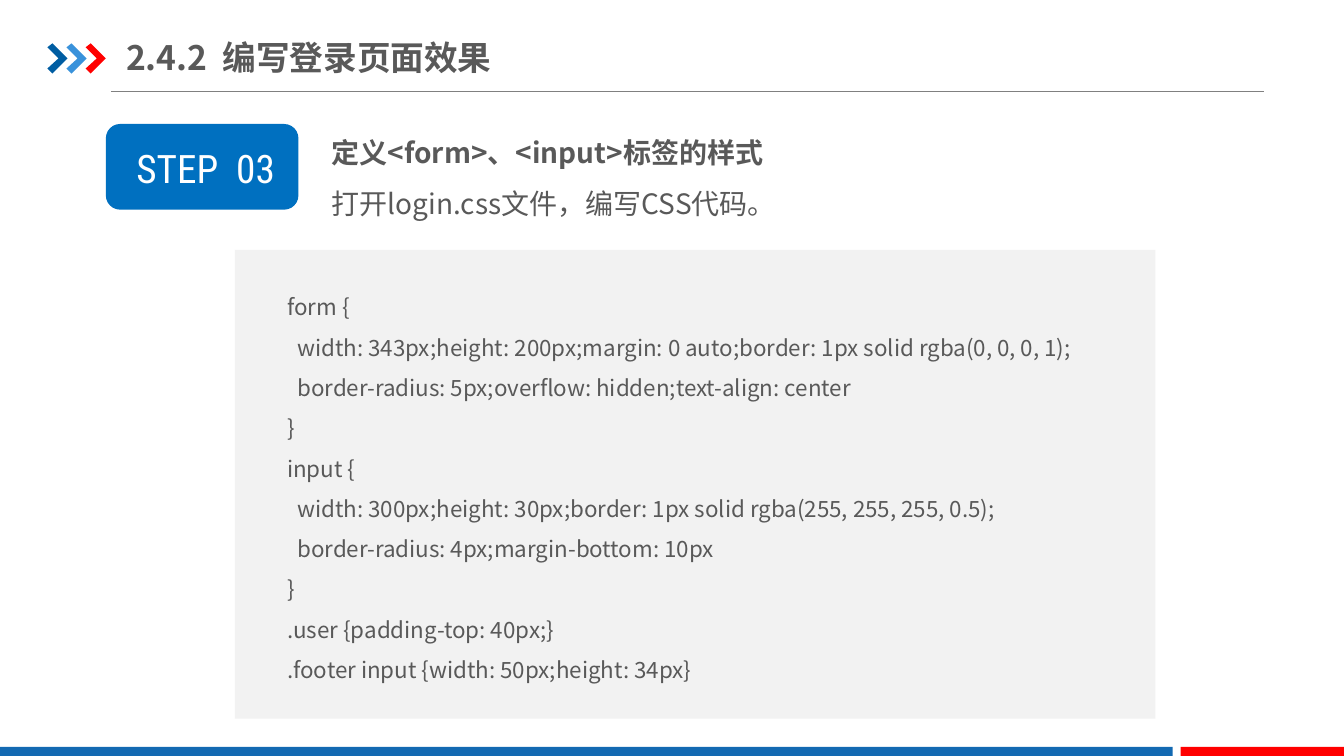
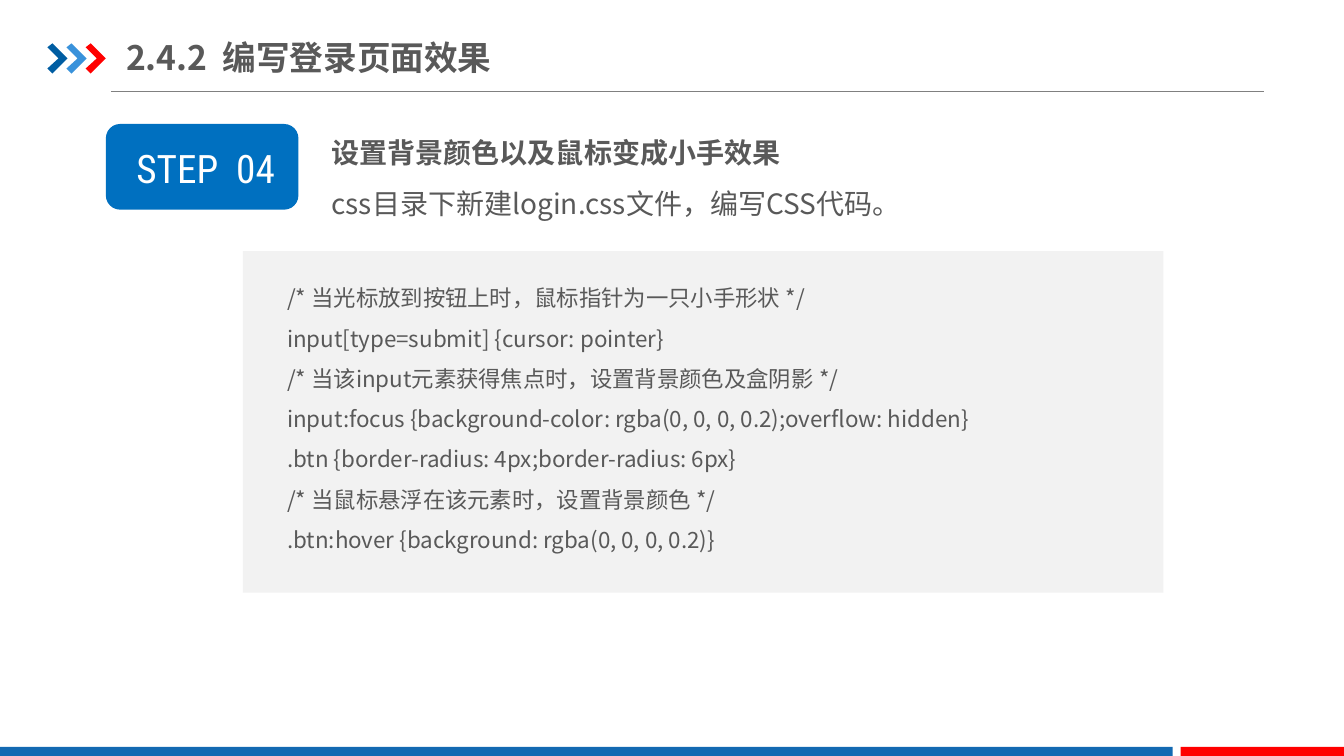
from dataclasses import dataclass

from lxml.etree import SubElement
from pptx import Presentation
from pptx.dml.color import RGBColor
from pptx.enum.shapes import MSO_CONNECTOR, MSO_SHAPE
from pptx.enum.text import MSO_ANCHOR, PP_ALIGN
from pptx.oxml.ns import qn
from pptx.util import Emu, Pt

COLORS = {
    "navy": "005DA2",
    "sky": "3992DB",
    "red": "FF0000",
    "band": "1369B2",
    "badge": "0070C0",
    "panel": "F2F2F2",
    "text": "595959",
    "rule": "808080",
    "white": "FFFFFF",
}
SANS = "Noto Sans CJK SC"
NARROW = "Roboto Condensed"
SCALE = 9144
WIDTH, HEIGHT = 1333, 750
TITLE = "2.4.2  编写登录页面效果"
ARROW = [(0, 4), (5, 0), (20, 15), (5, 30), (0, 25), (11, 15)]


@dataclass(frozen=True)
class Box:
    left: int
    top: int
    width: int
    height: int

    def emu(self) -> list[Emu]:
        return [px(n) for n in (self.left, self.top, self.width, self.height)]


@dataclass(frozen=True)
class Style:
    size: int
    font: str = SANS
    color: str = "text"
    bold: bool = False
    spacing: float = 1.0
    align: PP_ALIGN = PP_ALIGN.LEFT


@dataclass(frozen=True)
class Step:
    label: str
    heading: str
    detail: str
    panel: Box
    area: Box
    code: str


HEAD = Style(24, bold=True)
BADGE = Style(28, font=NARROW, color="white", align=PP_ALIGN.CENTER)
TOPIC = Style(20, bold=True, spacing=1.5)
DETAIL = Style(20, spacing=1.5)
CODE = Style(16, spacing=1.5)

STEPS = [
    Step(
        "STEP  03",
        "定义<form>、<input>标签的样式",
        "打开login.css文件，编写CSS代码。",
        Box(233, 248, 913, 465),
        Box(275, 273, 859, 414),
        """form {
  width: 343px;height: 200px;margin: 0 auto;border: 1px solid rgba(0, 0, 0, 1);
  border-radius: 5px;overflow: hidden;text-align: center
}
input {
  width: 300px;height: 30px;border: 1px solid rgba(255, 255, 255, 0.5);
  border-radius: 4px;margin-bottom: 10px
}
.user {padding-top: 40px;}
.footer input {width: 50px;height: 34px}""",
    ),
    Step(
        "STEP  04",
        "设置背景颜色以及鼠标变成小手效果",
        "css目录下新建login.css文件，编写CSS代码。",
        Box(241, 249, 913, 339),
        Box(275, 264, 859, 293),
        """/* 当光标放到按钮上时，鼠标指针为一只小手形状 */
input[type=submit] {cursor: pointer}
/* 当该input元素获得焦点时，设置背景颜色及盒阴影 */
input:focus {background-color: rgba(0, 0, 0, 0.2);overflow: hidden}
.btn {border-radius: 4px;border-radius: 6px}
/* 当鼠标悬浮在该元素时，设置背景颜色 */
.btn:hover {background: rgba(0, 0, 0, 0.2)}""",
    ),
]


def px(count: int) -> Emu:
    return Emu(count * SCALE)


def rgb(name: str) -> RGBColor:
    return RGBColor.from_string(COLORS[name])


def paint(shape, color: str) -> None:
    shape.shadow.inherit = False
    shape.fill.solid()
    shape.fill.fore_color.rgb = rgb(color)
    shape.line.fill.background()


def block(slide, box: Box, color: str, kind=MSO_SHAPE.RECTANGLE) -> None:
    paint(slide.shapes.add_shape(kind, *box.emu()), color)


def write(slide, box: Box, lines: list[tuple[str, Style]]):
    frame = slide.shapes.add_textbox(*box.emu()).text_frame
    frame.word_wrap = True
    frame.text = "\n".join(text.lstrip() for text, _ in lines)
    for par, (text, style) in zip(frame.paragraphs, lines):
        par.alignment = style.align
        par.line_spacing = style.spacing
        if text.startswith(" "):
            par._p.get_or_add_pPr().set("marL", str(px(10)))
        for run in par.runs:
            font = run.font
            font.size = Pt(style.size)
            font.bold = style.bold
            font.name = style.font
            font.color.rgb = rgb(style.color)
            SubElement(run._r.get_or_add_rPr(), qn("a:ea")).set("typeface", style.font)
    return frame


def frame_page(slide) -> None:
    rule = slide.shapes.add_connector(
        MSO_CONNECTOR.STRAIGHT, px(110), px(91), px(1254), px(91)
    )
    rule.line.color.rgb = rgb("rule")
    rule.line.width = Pt(0.75)
    SubElement(rule._element.spPr, qn("a:effectLst"))
    for index, color in enumerate(("navy", "sky", "red")):
        points = [(47 + 19 * index + x, 43 + y) for x, y in ARROW]
        form = slide.shapes.build_freeform(*points[0], scale=SCALE)
        form.add_line_segments(points[1:], close=True)
        paint(form.convert_to_shape(), color)
    block(slide, Box(0, 741, 1163, 9), "band")
    block(slide, Box(1171, 741, WIDTH - 1171, 9), "red")
    title = write(slide, Box(125, 29, 549, 55), [(TITLE, HEAD)])
    title.vertical_anchor = MSO_ANCHOR.MIDDLE
    title.margin_left = title.margin_right = 0
    title.margin_top = title.margin_bottom = px(7)


def draw(slide, step: Step) -> None:
    frame_page(slide)
    block(slide, Box(105, 123, 191, 85), "badge", MSO_SHAPE.ROUNDED_RECTANGLE)
    write(slide, Box(115, 138, 178, 57), [(step.label, BADGE)])
    write(
        slide,
        Box(319, 113, 852, 105),
        [(step.heading, TOPIC), (step.detail, DETAIL)],
    )
    block(slide, step.panel, "panel")
    write(slide, step.area, [(line, CODE) for line in step.code.splitlines()])


def main() -> None:
    deck = Presentation()
    deck.slide_width, deck.slide_height = px(WIDTH), px(HEIGHT)
    for step in STEPS:
        draw(deck.slides.add_slide(deck.slide_layouts[6]), step)
    deck.save("out.pptx")


if __name__ == "__main__":
    main()
